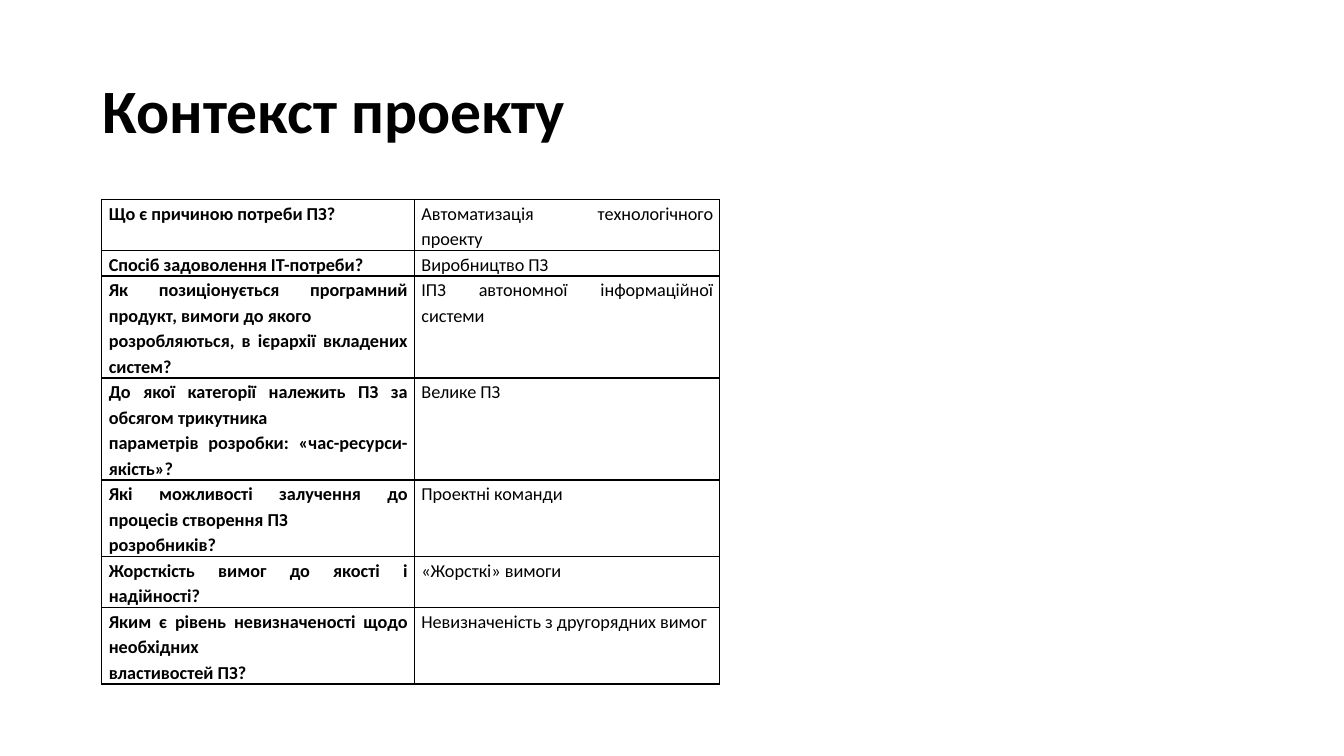
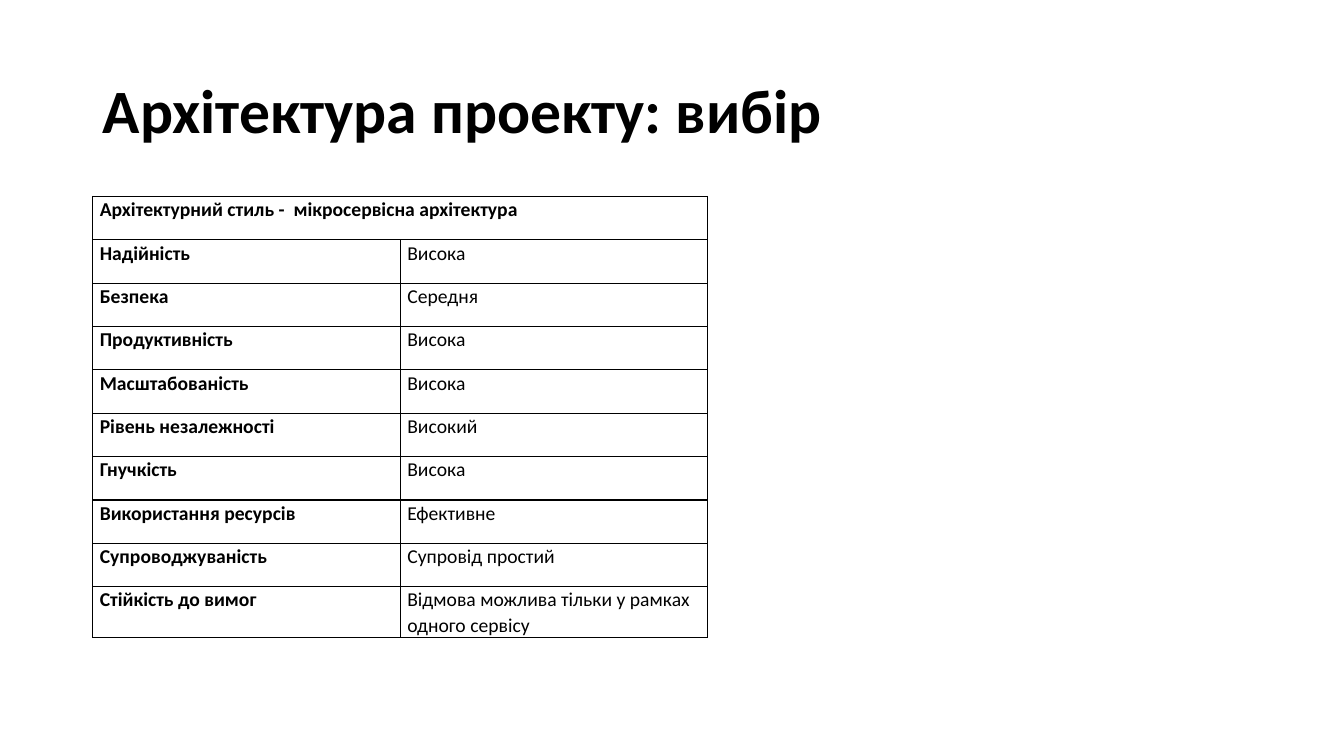
from lxml import etree
from pptx import Presentation
from pptx import util as u
from pptx.dml import color
from pptx.enum import text
from pptx.oxml import ns

HUES = {"ink": "000000", "paper": "FFFFFF"}
FONT = "Calibri"

CONTEXT = [
    (2, "Що є причиною потреби ПЗ?", "Автоматизація технологічного проекту"),
    (1, "Спосіб задоволення ІТ-потреби?", "Виробництво ПЗ"),
    (4, "Як позиціонується програмний продукт, вимоги до якого\n"
        "розробляються, в ієрархії вкладених систем?",
     "ІПЗ автономної інформаційної системи"),
    (4, "До якої категорії належить ПЗ за обсягом трикутника\n"
        "параметрів розробки: «час-ресурси-якість»?", "Велике ПЗ"),
    (3, "Які можливості залучення до процесів створення ПЗ\nрозробників?",
     "Проектні команди"),
    (2, "Жорсткість вимог до якості і надійності?", "«Жорсткі» вимоги"),
    (3, "Яким є рівень невизначеності щодо необхідних\nвластивостей ПЗ?",
     "Невизначеність з другорядних вимог"),
]

CHOICE = [
    ("Архітектурний стиль -  мікросервісна архітектура",),
    ("Надійність", "Висока"),
    ("Безпека", "Середня"),
    ("Продуктивність", "Висока"),
    ("Масштабованість", "Висока"),
    ("Рівень незалежності", "Високий"),
    ("Гнучкість", "Висока"),
    ("Використання ресурсів", "Ефективне"),
    ("Супроводжуваність", "Супровід простий"),
    ("Стійкість до вимог", "Відмова можлива тільки у рамках одного сервісу"),
]


class Deck:
    def __init__(self):
        self.prs = Presentation()
        self.prs.slide_width = u.Inches(13.33)
        self.prs.slide_height = u.Inches(7.5)
        self.slide = None

    def style(self, frame, size, bold, align, space):
        for para in frame.paragraphs:
            para.alignment = align
            para.line_spacing = space
            for run in para.runs:
                run.font.name = FONT
                run.font.size = u.Pt(size)
                run.font.bold = bold
                run.font.color.rgb = color.RGBColor.from_string(HUES["ink"])

    def page(self, title):
        self.slide = self.prs.slides.add_slide(self.prs.slide_layouts[5])
        head = self.slide.shapes.title
        head.left, head.top = u.Inches(0.92), u.Inches(0.4)
        head.width, head.height = u.Inches(11.5), u.Inches(1.45)
        frame = head.text_frame
        frame.text = title
        frame.vertical_anchor = text.MSO_ANCHOR.MIDDLE
        self.style(frame, 44, True, text.PP_ALIGN.LEFT, 0.9)

    def border(self, cell):
        props = cell._tc.get_or_add_tcPr()
        for side in ("lnL", "lnR", "lnT", "lnB"):
            line = etree.SubElement(props, ns.qn("a:" + side), w=str(u.Pt(1)))
            fill = etree.SubElement(line, ns.qn("a:solidFill"))
            etree.SubElement(fill, ns.qn("a:srgbClr"), val=HUES["ink"])

    def table(self, left, top, widths, heights, rows, size, align, space):
        grid = self.slide.shapes.add_table(
            len(rows), len(widths), u.Inches(left), u.Inches(top),
            u.Inches(sum(widths)), u.Inches(sum(heights))).table
        for col, width in zip(grid.columns, widths):
            col.width = u.Inches(width)
        for r, (row, height) in enumerate(zip(rows, heights)):
            grid.rows[r].height = u.Inches(height)
            for c in range(len(widths)):
                cell = grid.cell(r, c)
                cell.margin_left = cell.margin_right = u.Inches(0.07)
                cell.margin_top = cell.margin_bottom = 0
                self.border(cell)
                cell.fill.solid()
                cell.fill.fore_color.rgb = color.RGBColor.from_string(HUES["paper"])
                if c < len(row):
                    cell.text_frame.text = row[c]
                self.style(cell.text_frame, size, c == 0, align, space)
            if len(row) < len(widths):
                grid.cell(r, 0).merge(grid.cell(r, len(widths) - 1))


def main():
    deck = Deck()
    deck.page("Контекст проекту")
    deck.table(1.01, 1.98, [3.1, 3.03], [0.25 * row[0] - 0.02 for row in CONTEXT],
               [row[1:] for row in CONTEXT], 13, text.PP_ALIGN.JUSTIFY, 1.15)
    deck.page("Архітектура проекту: вибір")
    deck.table(0.92, 1.95, [3.05, 3.05], [0.43] * len(CHOICE),
               CHOICE, 14, text.PP_ALIGN.LEFT, 1.07)
    deck.prs.save("out.pptx")


if __name__ == "__main__":
    main()
